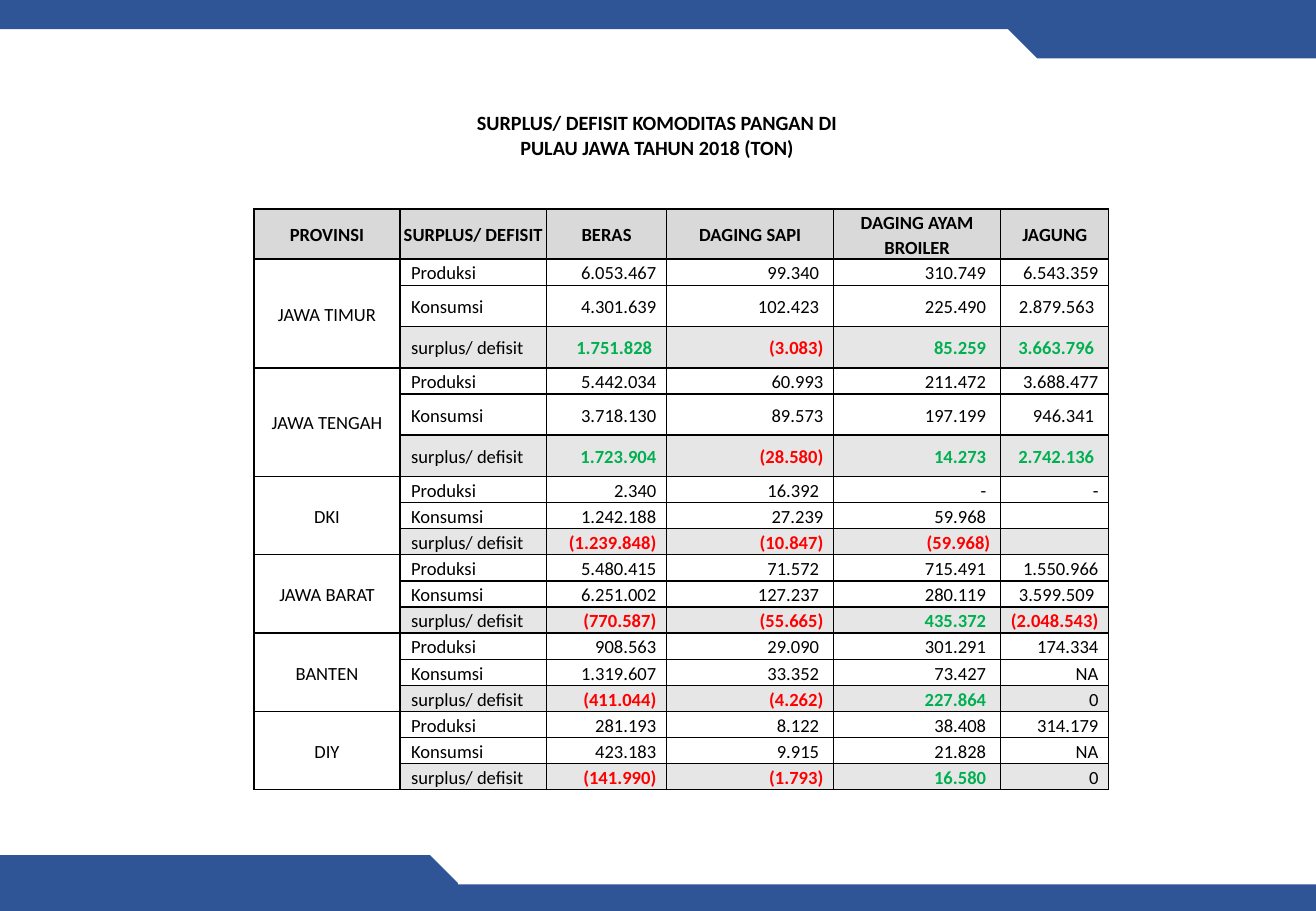
"""Build the slide on the 2018 food surplus and deficit of Java's provinces."""
from lxml import etree
from pptx import Presentation
from pptx import util as u
from pptx.dml.color import RGBColor
from pptx.enum import shapes, text
from pptx.oxml.ns import qn

PX = u.Inches(1) // 200
COLORS = {"band": "2F5597", "head": "D9D9D9", "balance": "E7E6E6",
          "ink": "000000", "surplus": "00B050", "deficit": "FF0000"}
ALIGN = text.PP_ALIGN


def write(frame, words, size=11, color="ink", bold=False, align=ALIGN.CENTER, spacing=1.07):
    frame.word_wrap = True
    paragraph = frame.paragraphs[0]
    paragraph.alignment = align
    paragraph.line_spacing = spacing
    if not words:
        etree.SubElement(paragraph._p, qn("a:endParaRPr"), sz=str(size * 100))
        return
    run = paragraph.add_run()
    run.text = words
    run.font.name = "Calibri"
    run.font.size = u.Pt(size)
    run.font.bold = bold
    run.font.color.rgb = RGBColor.from_string(COLORS[color])


def style_cell(cell, fill, left=2, right=2):
    cell.margin_left, cell.margin_right = left * PX, right * PX
    cell.margin_top, cell.margin_bottom = 2 * PX, 0
    cell.vertical_anchor = text.MSO_ANCHOR.MIDDLE
    for side in ("a:lnL", "a:lnR", "a:lnT", "a:lnB"):
        border = etree.SubElement(cell._tc.get_or_add_tcPr(), qn(side), w=str(u.Pt(1)))
        paint = etree.SubElement(border, qn("a:solidFill"))
        etree.SubElement(paint, qn("a:srgbClr"), val=COLORS["ink"])
    if fill:
        cell.fill.solid()
        cell.fill.fore_color.rgb = RGBColor.from_string(COLORS[fill])
    else:
        cell.fill.background()


deck = Presentation()
deck.slide_width, deck.slide_height = 2167 * PX, 1500 * PX
slide = deck.slides.add_slide(deck.slide_layouts[5])

headings = ["PROVINSI", "SURPLUS/ DEFISIT", "BERAS", "DAGING SAPI", "DAGING AYAM BROILER", "JAGUNG"]
measures = ["Produksi", "Konsumsi", "surplus/ defisit"]
provinces = {
    "JAWA TIMUR": [["6.053.467", "99.340 ", "310.749 ", "6.543.359"],
                   ["4.301.639", "102.423 ", "225.490 ", "2.879.563 "],
                   ["1.751.828 ", "(3.083)", "85.259 ", "3.663.796 "]],
    "JAWA TENGAH": [["5.442.034", "60.993", "211.472 ", "3.688.477"],
                    ["3.718.130", "89.573", "197.199 ", "946.341 "],
                    ["1.723.904", "(28.580)", "14.273 ", "2.742.136 "]],
    "DKI": [["2.340", "16.392 ", "- ", "-"],
            ["1.242.188", "27.239", "59.968 ", ""],
            ["(1.239.848)", "(10.847)", "(59.968)", ""]],
    "JAWA BARAT": [["5.480.415", "71.572 ", "715.491 ", "1.550.966"],
                   ["6.251.002", "127.237 ", "280.119 ", "3.599.509 "],
                   ["(770.587)", "(55.665)", "435.372 ", "(2.048.543)"]],
    "BANTEN": [["908.563", "29.090 ", "301.291 ", "174.334"],
               ["1.319.607", "33.352 ", "73.427 ", "NA"],
               ["(411.044)", "(4.262)", "227.864 ", "0"]],
    "DIY": [["281.193", "8.122 ", "38.408 ", "314.179"],
            ["423.183", "9.915 ", "21.828 ", "NA"],
            ["(141.990)", "(1.793)", "16.580 ", "0"]],
}
column_widths = [241, 241, 198, 275, 275, 178]
row_heights = [74] + [43, 68, 68] * 2 + [43] * 12

balance_table = slide.shapes.add_table(
    len(row_heights), len(column_widths), 418 * PX, 344 * PX,
    sum(column_widths) * PX, sum(row_heights) * PX).table
balance_table.first_row = balance_table.horz_banding = False
for column, width in zip(balance_table.columns, column_widths):
    column.width = width * PX
for row, height in zip(balance_table.rows, row_heights):
    row.height = height * PX

for col, heading in enumerate(headings):
    cell = balance_table.cell(0, col)
    style_cell(cell, "head")
    write(cell.text_frame, heading, bold=True)

for group, (province, figures) in enumerate(provinces.items()):
    first = 1 + 3 * group
    for step, (measure, amounts) in enumerate(zip(measures, figures)):
        is_balance = step == 2
        fill = "balance" if is_balance else None
        province_cell = balance_table.cell(first + step, 0)
        style_cell(province_cell, None)
        write(province_cell.text_frame, "" if step else province)
        measure_cell = balance_table.cell(first + step, 1)
        style_cell(measure_cell, fill, left=18)
        write(measure_cell.text_frame, measure, align=ALIGN.LEFT)
        for col, amount in enumerate(amounts, 2):
            cell = balance_table.cell(first + step, col)
            style_cell(cell, fill, right=17)
            strong = is_balance and amount != "0"
            sign = "deficit" if amount.startswith("(") else "surplus"
            write(cell.text_frame, amount, color=sign if strong else "ink",
                  bold=strong, align=ALIGN.RIGHT)
    balance_table.cell(first, 0).merge(balance_table.cell(first + 2, 0))

title = slide.shapes.title
title.left, title.top, title.width, title.height = 750 * PX, 172 * PX, 664 * PX, 100 * PX
title.text_frame.auto_size = text.MSO_AUTO_SIZE.NONE
title.text_frame.vertical_anchor = text.MSO_ANCHOR.TOP
write(title.text_frame, "SURPLUS/ DEFISIT KOMODITAS PANGAN DI PULAU JAWA TAHUN 2018 (TON)",
      size=12, bold=True, spacing=1.0)

SNIP, BAR = shapes.MSO_SHAPE.SNIP_1_RECTANGLE, shapes.MSO_SHAPE.RECTANGLE
bands = [(SNIP, 0, 1408, 754, 92, 0), (BAR, 176, 1456, 1991, 44, 0),
         (SNIP, 1660, 0, 507, 96, 180), (BAR, 0, 0, 1842, 48, 0)]
for kind, left, top, width, height, turn in bands:
    band = slide.shapes.add_shape(kind, left * PX, top * PX, width * PX, height * PX)
    band.shadow.inherit = False
    band.rotation = turn
    band.fill.solid()
    band.fill.fore_color.rgb = RGBColor.from_string(COLORS["band"])
    band.line.fill.background()
    if kind == SNIP:
        band.adjustments[0] = 0.5

deck.save("out.pptx")
